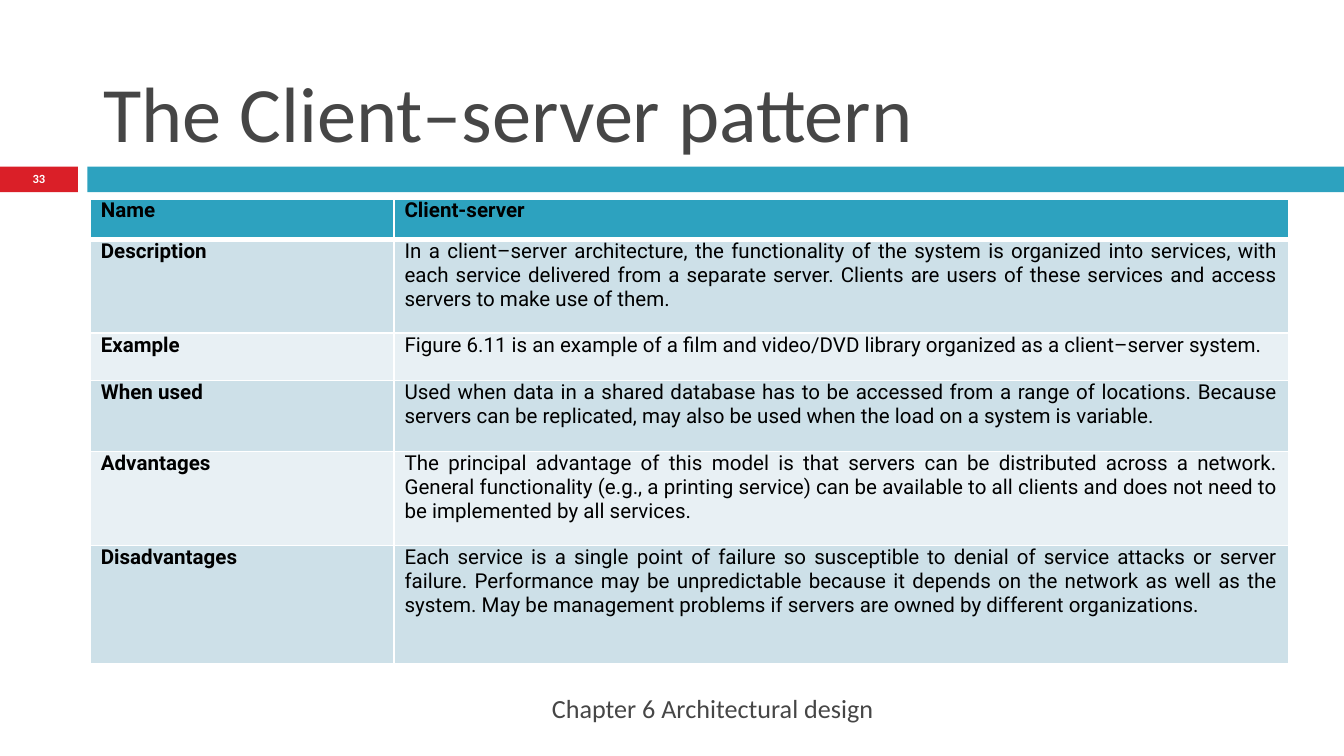
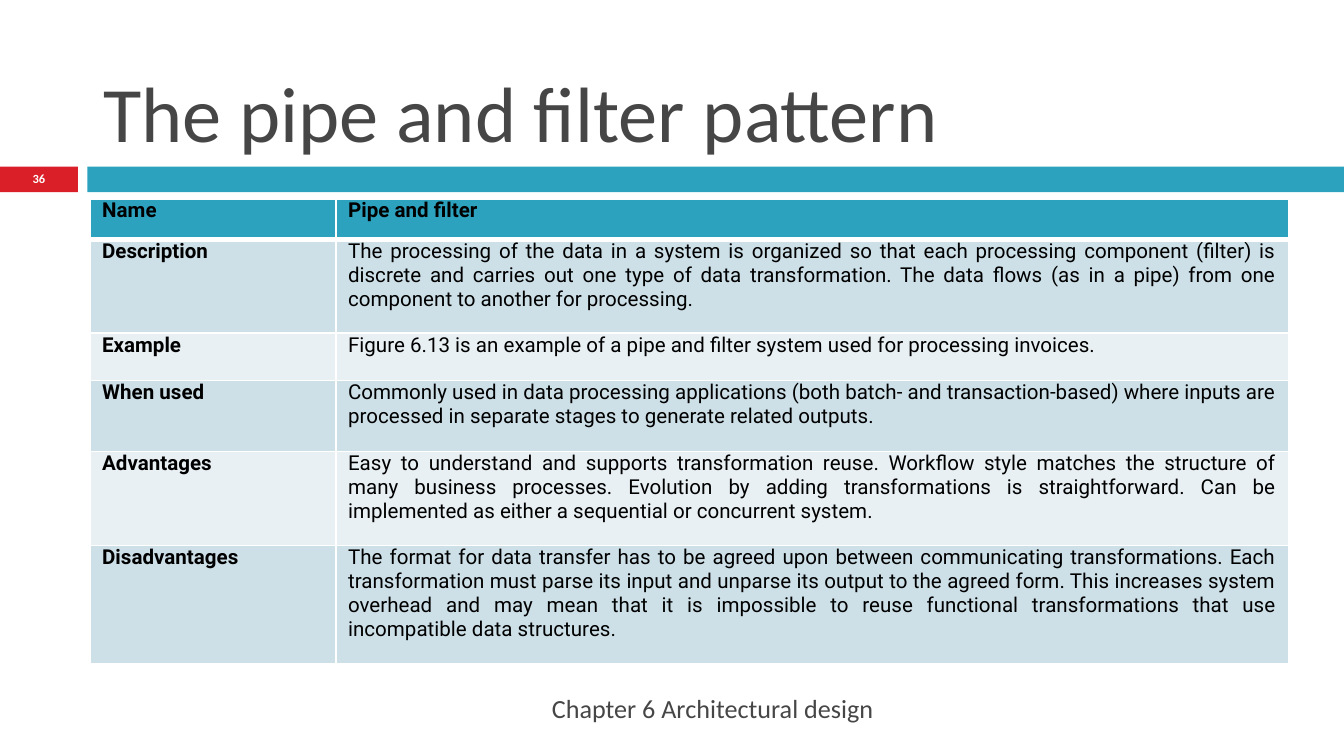
from lxml import etree
from pptx import Presentation
from pptx.dml.color import RGBColor
from pptx.enum.shapes import MSO_SHAPE
from pptx.enum.text import MSO_ANCHOR, PP_ALIGN
from pptx.oxml.ns import qn
from pptx.util import Inches, Pt

RECT = MSO_SHAPE.RECTANGLE
MID, LOW = MSO_ANCHOR.MIDDLE, MSO_ANCHOR.BOTTOM
LEFT, MIDST, RIGHT, FULL = PP_ALIGN.LEFT, PP_ALIGN.CENTER, PP_ALIGN.RIGHT, PP_ALIGN.JUSTIFY

# Shared look
HUES = {"red": "DA1F28", "teal": "2DA2BF", "odd": "CDE0E8", "even": "E8F0F4",
        "grey": "464646", "black": "000000", "white": "FFFFFF"}
WIDE = 10
HIGH = WIDE * 9 / 16
EDGE, SPAN = 0.67, 8.92
TAG = 0.58
BANDS = [("red", 0, TAG), ("teal", 0.65, WIDE - 0.65)]
ROWS = [0.3, 0.7, 0.35, 0.53, 0.7, 0.88]
RULES = {"lnL": 1, "lnR": 1, "lnT": 1, "lnB": 3}
HEADS = ["Name", "Description", "Example", "When used", "Advantages", "Disadvantages"]
FOOT = "Chapter 6 Architectural design"

# Slide content: title, number, first column width, side inset, right column
PAGES = [
    ("The Client–server pattern", "33", 2.26, 0.08, [
        "Client-server",
        "In a client–server architecture, the functionality of the system is organized "
        "into services, with each service delivered from a separate server. Clients are "
        "users of these services and access servers to make use of them.",
        "Figure 6.11 is an example of a film and video/DVD library organized as a "
        "client–server system.",
        "Used when data in a shared database has to be accessed from a range of locations. "
        "Because servers can be replicated, may also be used when the load on a system is "
        "variable.",
        "The principal advantage of this model is that servers can be distributed across a "
        "network. General functionality (e.g., a printing service) can be available to all "
        "clients and does not need to be implemented by all services. ",
        "Each service is a single point of failure so susceptible to denial of service "
        "attacks or server failure. Performance may be unpredictable because it depends on "
        "the network as well as the system. May be management problems if servers are owned "
        "by different organizations.",
    ]),
    ("The pipe and filter pattern", "36", 1.83, 0.09, [
        "Pipe and filter",
        "The processing of the data in a system is organized so that each processing "
        "component (filter) is discrete and carries out one type of data transformation. "
        "The data flows (as in a pipe) from one component to another for processing. ",
        "Figure 6.13 is an example of a pipe and filter system used for processing invoices.",
        "Commonly used in data processing applications (both batch- and transaction-based) "
        "where inputs are processed in separate stages to generate related outputs.",
        "Easy to understand and supports transformation reuse. Workflow style matches the "
        "structure of many business processes. Evolution by adding transformations is "
        "straightforward. Can be implemented as either a sequential or concurrent system.",
        "The format for data transfer has to be agreed upon between communicating "
        "transformations. Each transformation must parse its input and unparse its output "
        "to the agreed form. This increases system overhead and may mean that it is "
        "impossible to reuse functional transformations that use incompatible data "
        "structures.",
    ]),
]


def write(frame, text, size, face, hue, bold, align):
    frame.text = text
    para = frame.paragraphs[0]
    para.alignment = align
    font = para.runs[0].font
    font.size, font.name, font.bold = Pt(size), face, bold
    font.color.rgb = RGBColor.from_string(HUES[hue])


def rule(cell, side, width):
    line = etree.SubElement(cell._tc.get_or_add_tcPr(), qn("a:" + side), w=str(Pt(width)))
    fill = etree.SubElement(line, qn("a:solidFill"))
    etree.SubElement(fill, qn("a:srgbClr"), val=HUES["white"])


deck = Presentation()
deck.slide_width, deck.slide_height = Inches(WIDE), Inches(HIGH)

for title, number, first, inset, notes in PAGES:
    slide = deck.slides.add_slide(deck.slide_layouts[6])

    # Bands under the title
    for hue, left, width in BANDS:
        band = slide.shapes.add_shape(RECT, Inches(left), Inches(1.24), Inches(width), Inches(0.19))
        band.shadow.inherit = False
        band.fill.solid()
        band.fill.fore_color.rgb = RGBColor.from_string(HUES[hue])
        band.line.fill.background()

    # Title, footer and slide number
    for text, spot, size, hue, bold, align, anchor in [
        (title, (EDGE, 0.13, SPAN, 1.1), 42, "grey", False, LEFT, LOW),
        (FOOT, (EDGE, 5.12, 5.93, 0.3), 14, "grey", False, RIGHT, MID),
        (number, (0, 1.23, TAG, 0.2), 6.7, "white", True, MIDST, MID),
    ]:
        frame = slide.shapes.add_textbox(*map(Inches, spot)).text_frame
        frame.word_wrap = True
        frame.vertical_anchor = anchor
        write(frame, text, size, "Calibri", hue, bold, align)

    # Pattern table; the table style rules the body rows in white
    table = slide.shapes.add_table(len(ROWS), 2, Inches(EDGE), Inches(1.48),
                                   Inches(SPAN), Inches(sum(ROWS))).table
    for col, width in zip(table.columns, (first, SPAN - first)):
        col.width = Inches(width)
    for r, pair in enumerate(zip(HEADS, notes)):
        table.rows[r].height = Inches(ROWS[r])
        shade = "teal" if r == 0 else "odd" if r % 2 else "even"
        for c, text in enumerate(pair):
            cell = table.cell(r, c)
            cell.margin_left = cell.margin_right = Inches(inset)
            cell.margin_top = cell.margin_bottom = 0
            if r == 0:
                for side, width in RULES.items():
                    rule(cell, side, width)
            cell.fill.solid()
            cell.fill.fore_color.rgb = RGBColor.from_string(HUES[shade])
            write(cell.text_frame, text, 11, "Roboto", "black", r == 0 or c == 0, FULL)

deck.save("out.pptx")
